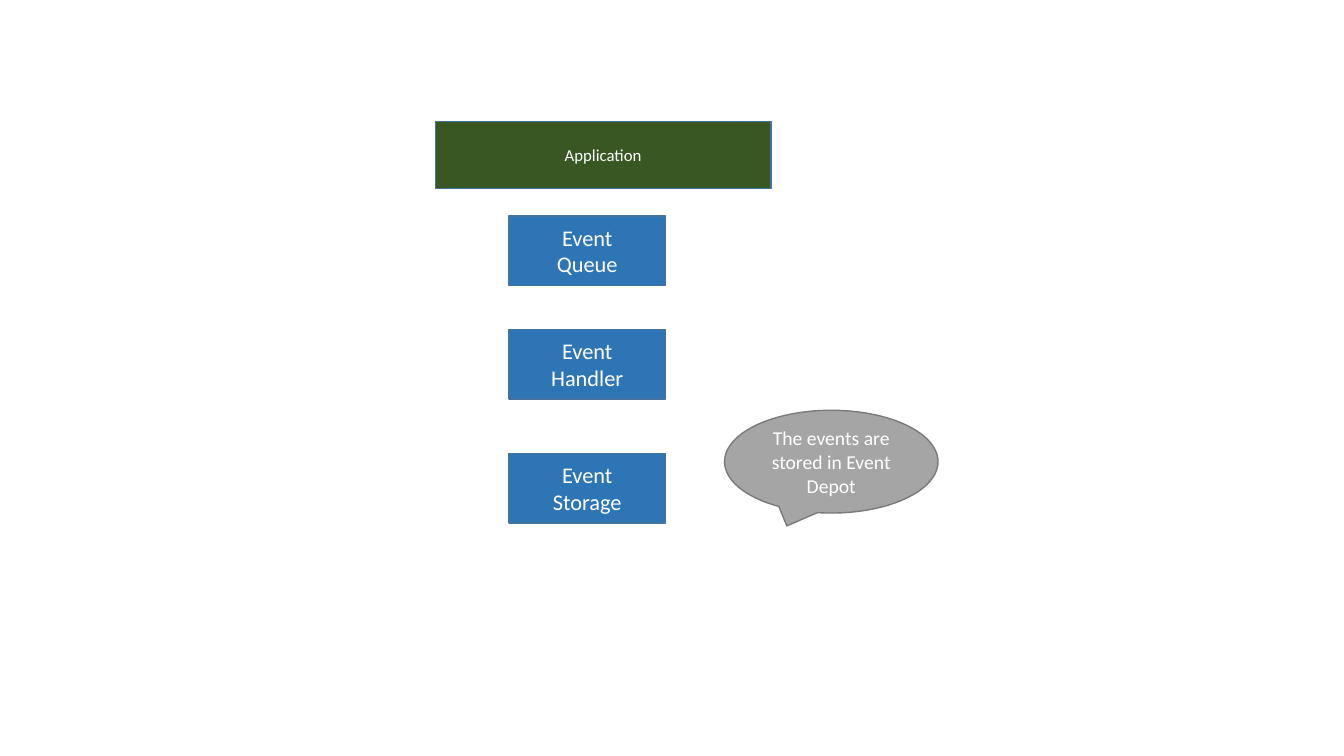
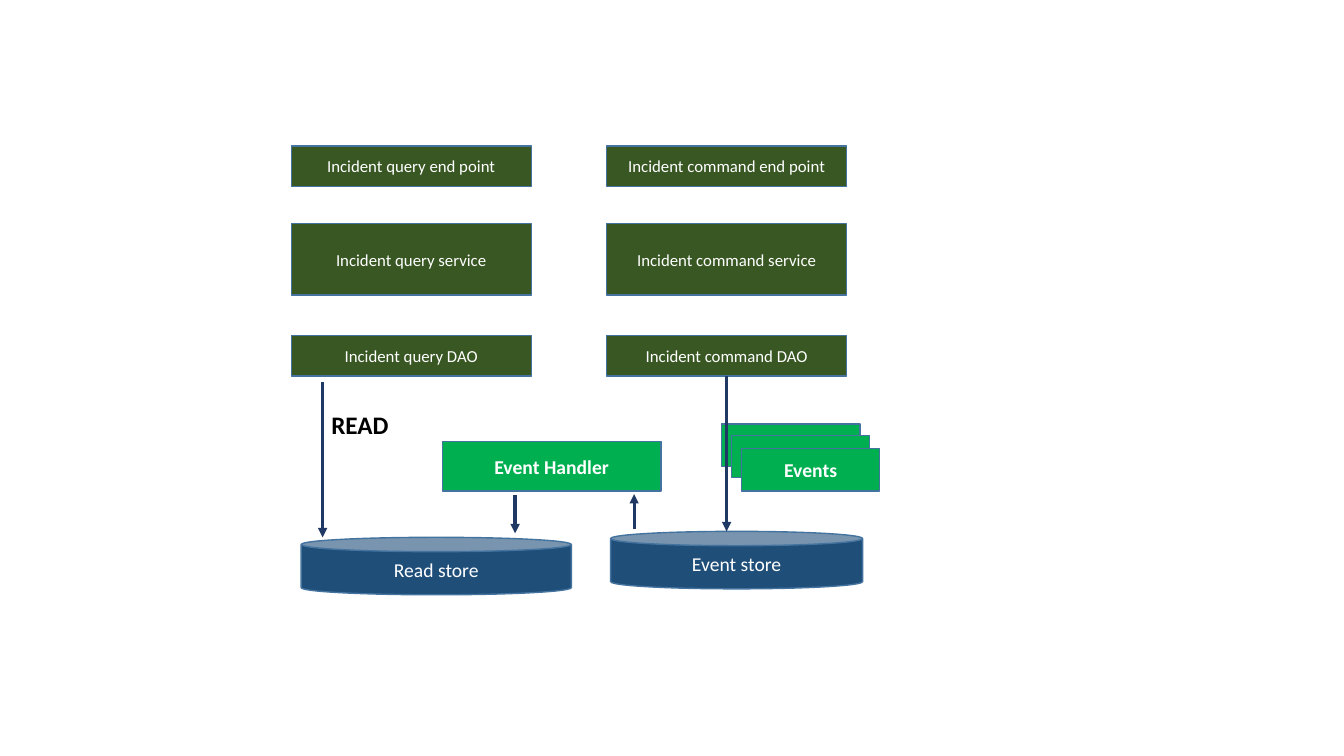
"""Build two slides on event storage and separate read and command paths."""
from lxml.etree import SubElement
from pptx import Presentation
from pptx.dml.color import RGBColor
from pptx.enum.shapes import MSO_CONNECTOR, MSO_SHAPE as Shape
from pptx.enum.text import MSO_ANCHOR as Anchor, MSO_AUTO_SIZE as AutoSize, PP_ALIGN as Align
from pptx.oxml.ns import qn
from pptx.util import Cm, Pt

FONT = "Calibri"
WHITE = RGBColor(0xFF, 0xFF, 0xFF)
BLACK = RGBColor(0x00, 0x00, 0x00)
DARK_GREEN = RGBColor(0x38, 0x57, 0x23)
GREEN = RGBColor(0x00, 0xB0, 0x50)
BLUE = RGBColor(0x2E, 0x75, 0xB6)
DARK_BLUE = RGBColor(0x1F, 0x4E, 0x79)
NAVY = RGBColor(0x20, 0x38, 0x64)
GREY = RGBColor(0xA5, 0xA5, 0xA5)
BLUE_EDGE = RGBColor(0x43, 0x73, 0x9E)
GREY_EDGE = RGBColor(0x7A, 0x7A, 0x7A)


def write(frame, text, size=12, color=WHITE, bold=False, align=Align.CENTER):
    """Put text into a frame, one paragraph per line, in the given format."""
    frame.text = text
    for paragraph in frame.paragraphs:
        paragraph.alignment = align
        font = paragraph.font
        font.name, font.size, font.bold = FONT, Pt(size), bold
        font.color.rgb = color


def add_block(slide, box, fill, text="", kind=Shape.RECTANGLE, edge=BLUE_EDGE, **text_format):
    """Add a filled, outlined shape with centred text; box is in centimetres."""
    block = slide.shapes.add_shape(kind, *map(Cm, box))
    block.shadow.inherit = False
    block.fill.solid()
    block.fill.fore_color.rgb = fill
    block.line.color.rgb = edge
    block.line.width = Pt(1)
    if text:
        block.text_frame.word_wrap = True
        block.text_frame.vertical_anchor = Anchor.MIDDLE
        write(block.text_frame, text, **text_format)


def add_label(slide, box, text, **text_format):
    """Add a text box that keeps its text on one line."""
    frame = slide.shapes.add_textbox(*map(Cm, box)).text_frame
    frame.word_wrap = False
    frame.auto_size = AutoSize.SHAPE_TO_FIT_TEXT
    write(frame, text, **text_format)


def add_vertical_arrow(slide, x, start, end):
    """Add a vertical arrow with its head at the end."""
    arrow = slide.shapes.add_connector(
        MSO_CONNECTOR.STRAIGHT, Cm(x), Cm(start), Cm(x), Cm(end))
    arrow.line.color.rgb = NAVY
    arrow.line.width = Pt(2.25)
    SubElement(arrow.line._get_or_add_ln(), qn("a:tailEnd"), type="triangle")
    SubElement(arrow._element.spPr, qn("a:effectLst"))


def build_event_storage(slide):
    """Draw the application above its queue, handler and storage."""
    add_block(slide, (10.97, 3.07, 8.46, 1.68), DARK_GREEN, "Application")
    for stage, top in (("Queue", 5.44), ("Handler", 8.31), ("Storage", 11.43)):
        add_block(slide, (12.83, top, 3.94, 1.75), BLUE, f"Event\n{stage}", size=16)
    add_block(slide, (18.26, 10.34, 5.38, 2.59), GREY, "The events are stored in Event Depot",
              kind=Shape.OVAL_CALLOUT, edge=GREY_EDGE, size=14)


def build_incident_paths(slide):
    """Draw the query and command layers, their stores and the events between."""
    layers = (("end point", 3.68, 1.02), ("service", 5.64, 1.8), ("DAO", 8.46, 1.02))
    for layer, top, height in layers:
        for side, left in (("query", 7.34), ("command", 15.29)):
            add_block(slide, (left, top, 6.05, height), DARK_GREEN, f"Incident {side} {layer}")

    for store, left, top, width in (("Read", 7.59, 13.54, 6.81), ("Event", 15.39, 13.39, 6.35)):
        add_block(slide, (left, top, width, 1.45), DARK_BLUE, f"{store} store",
                  kind=Shape.CAN, size=14)

    for left, top, caption in ((18.19, 10.69, ""), (18.44, 10.97, ""), (18.69, 11.3, "Events")):
        add_block(slide, (left, top, 3.48, 1.07), GREEN, caption, size=14, bold=True)
    add_block(slide, (11.15, 11.13, 5.51, 1.24), GREEN, "Event Handler", size=14, bold=True)

    add_label(slide, (8.1, 10.19, 1.98, 1.02), "READ",
              size=18, color=BLACK, bold=True, align=Align.LEFT)
    for x, start, end in ((18.31, 9.47, 13.39), (8.13, 9.63, 13.54),
                          (12.98, 12.47, 13.44), (15.98, 13.34, 12.45)):
        add_vertical_arrow(slide, x, start, end)


def main():
    """Build both slides and save the presentation."""
    deck = Presentation()
    deck.slide_width, deck.slide_height = Cm(33.87), Cm(19.05)
    blank = deck.slide_layouts.get_by_name("Blank")
    for build in (build_event_storage, build_incident_paths):
        build(deck.slides.add_slide(blank))
    deck.save("out.pptx")


main()
